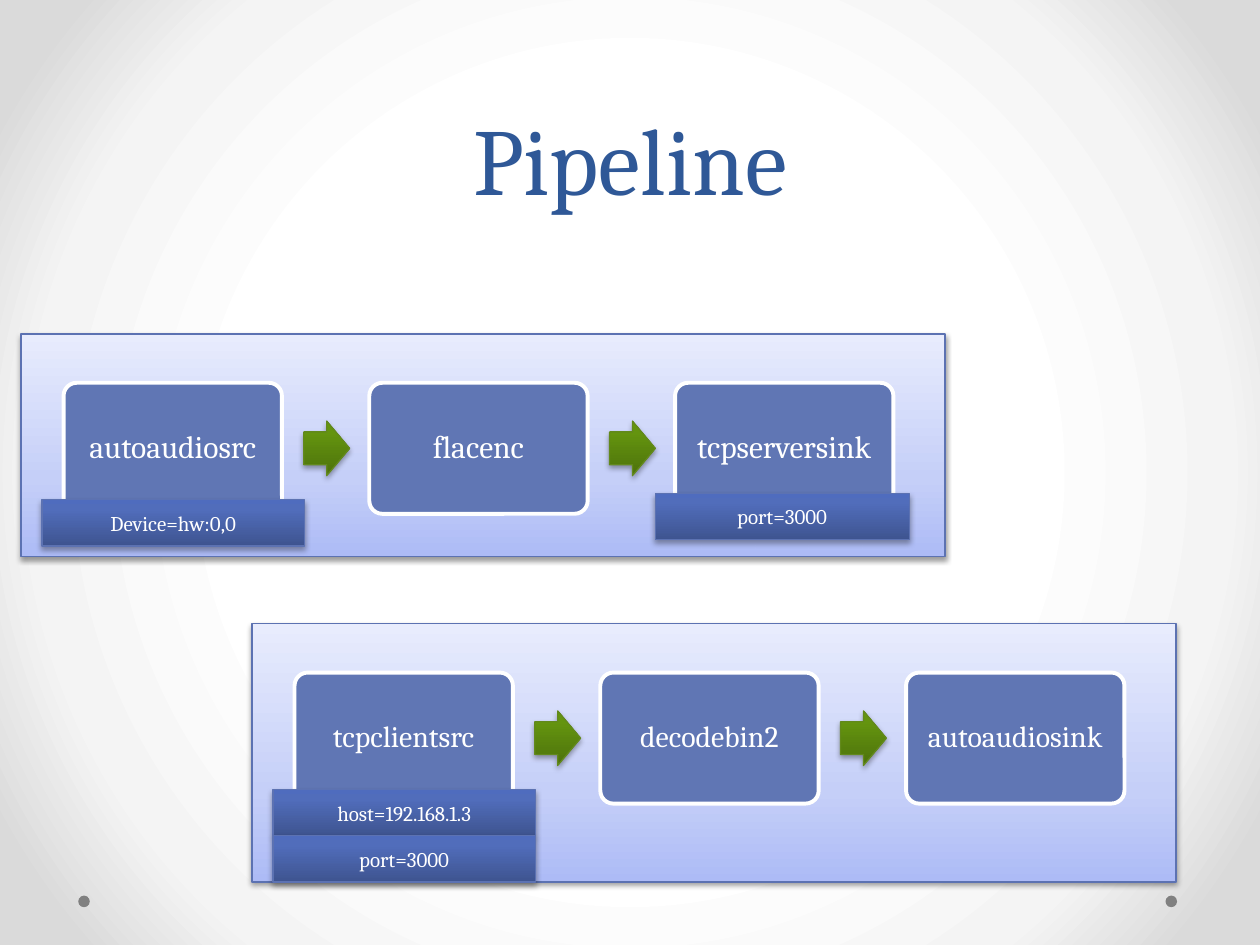
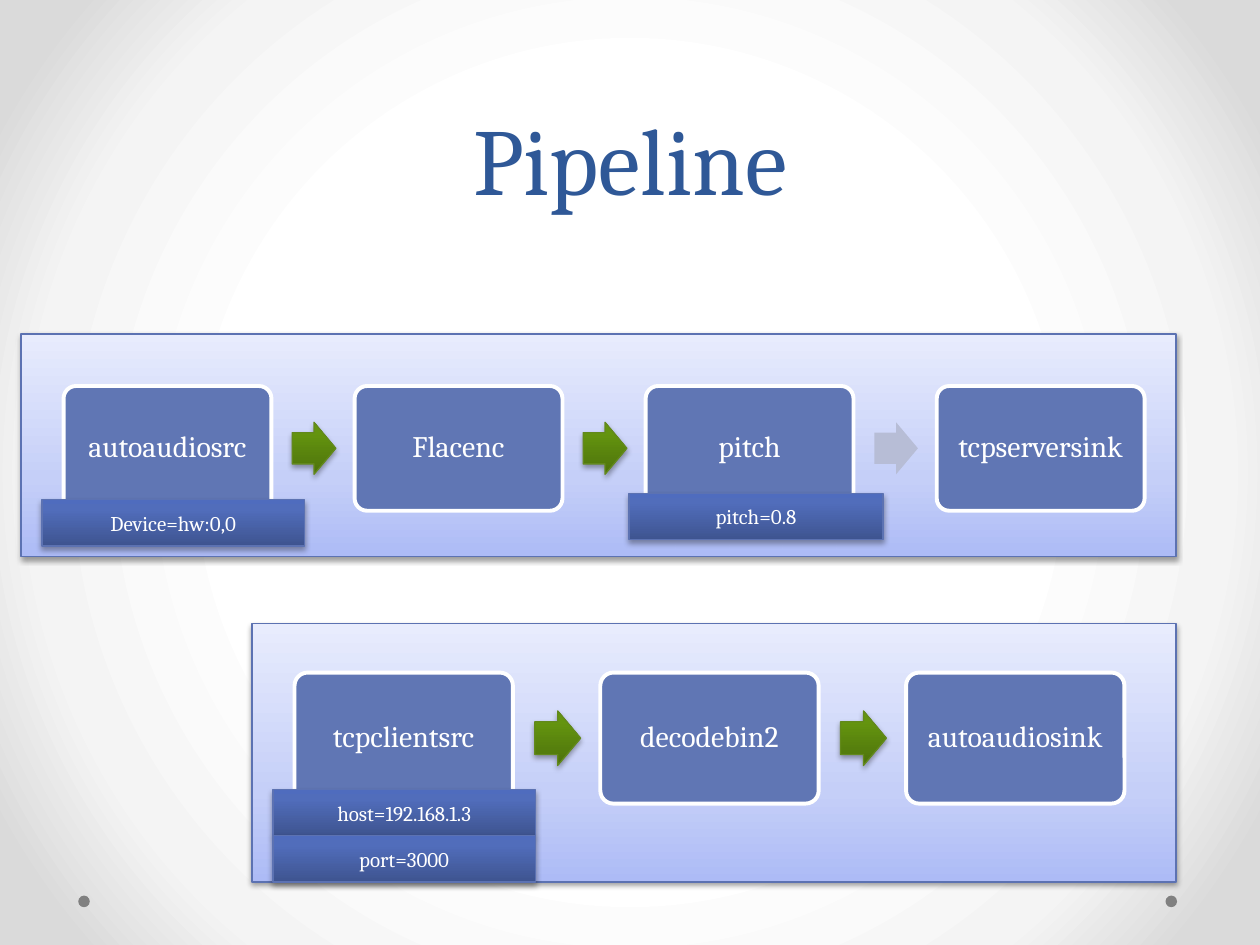
import dataclasses

import lxml.etree
import pptx
import pptx.dml.color
import pptx.enum.shapes
import pptx.enum.text
import pptx.oxml.ns
import pptx.util

# The slide is a grid of 120 columns by 90 rows
COLUMNS, ROWS = 120, 90
SLIDE_WIDTH = pptx.util.Inches(10)
SLIDE_HEIGHT = pptx.util.Inches(7.5)
SHAPE = pptx.enum.shapes.MSO_SHAPE
DRAWING = pptx.oxml.ns.nsdecls("a")


@dataclasses.dataclass(frozen=True)
class Theme:
    font: str = "Cambria"
    title: str = "2F5897"
    white: str = "FFFFFF"
    dot: str = "808080"
    stage: str = "6076B4"
    blue_line: str = "5C72B2"
    arrow_line: str = "62891C"
    idle_arrow: str = "B7BDD6"
    backdrop: tuple = ((50, "FFFFFF"), (76, "F4F4F4"), (92, "DADADA"))
    panel: tuple = ((0, "ADBBF6"), (35, "C5CFF8"), (100, "E8ECFD"))
    arrow: tuple = ((0, "4D720B"), (80, "64940F"), (100, "65970C"))
    setting: tuple = ((0, "3E5490"), (80, "516DBB"), (100, "4F6CBE"))
    title_size: int = 54
    setting_size: int = 12


@dataclasses.dataclass(frozen=True)
class Box:
    left: float
    top: float
    width: float
    height: float

    def inner(self, left, top, width, height):
        """Box placed relative to this one's corner."""
        return Box(self.left + left, self.top + top, width, height)

    def lengths(self):
        column, row = SLIDE_WIDTH / COLUMNS, SLIDE_HEIGHT / ROWS
        return [round(value) for value in (
            self.left * column, self.top * row,
            self.width * column, self.height * row)]


@dataclasses.dataclass(frozen=True)
class Setting:
    text: str
    left: float = 2
    top: float = 15.8
    width: float = 25
    height: float = 4.4


@dataclasses.dataclass(frozen=True)
class Pipeline:
    box: Box
    stages: tuple
    settings: tuple
    stage_width: float = 20.8
    stage_size: int = 17
    idle_arrow: int = -1


THEME = Theme()

SERVER = Pipeline(
    Box(2, 31.8, 88, 21.2),
    ("autoaudiosrc", "flacenc", "tcpserversink"),
    (Setting("Device=hw:0,0"), Setting("port=3000", 60.4, 15.2, 24.2)),
    stage_size=18)
PITCH_SERVER = Pipeline(
    Box(2, 31.8, 110, 21.2),
    ("autoaudiosrc", "Flacenc", "pitch", "tcpserversink"),
    (Setting("Device=hw:0,0"), Setting("pitch=0.8", 57.9, 15.2, 24.2)),
    stage_width=19.8, idle_arrow=2)
CLIENT = Pipeline(
    Box(24, 59.4, 88, 24.6),
    ("tcpclientsrc", "decodebin2", "autoaudiosink"),
    (Setting("host=192.168.1.3"), Setting("port=3000", top=20.2)))


def rgb(color):
    return pptx.dml.color.RGBColor.from_string(color)


def paint_gradient(properties, stops, direction):
    """Swap the solid fill among the properties for a gradient."""
    stop_list = "".join(
        f'<a:gs pos="{position * 1000}"><a:srgbClr val="{color}"/></a:gs>'
        for position, color in stops)
    gradient = lxml.etree.fromstring(
        f'<a:gradFill {DRAWING} rotWithShape="1">'
        f"<a:gsLst>{stop_list}</a:gsLst>{direction}</a:gradFill>")
    solid = properties.find(pptx.oxml.ns.qn("a:solidFill"))
    properties.replace(solid, gradient)


def add_shadow(shape, opacity, distance):
    effects = shape.element.spPr.find(pptx.oxml.ns.qn("a:effectLst"))
    effects.append(lxml.etree.fromstring(
        f'<a:outerShdw {DRAWING} blurRad="40000" dist="{distance}" '
        'dir="5400000" rotWithShape="0"><a:srgbClr val="000000">'
        f'<a:alpha val="{opacity * 1000}"/></a:srgbClr></a:outerShdw>'))


def add_flat_shape(shapes, kind, box, fill, line=None, line_width=0.75):
    shape = shapes.add_shape(kind, *box.lengths())
    shape.shadow.inherit = False
    shape.fill.solid()
    shape.fill.fore_color.rgb = rgb(fill)
    if line:
        shape.line.color.rgb = rgb(line)
        shape.line.width = pptx.util.Pt(line_width)
    else:
        shape.line.fill.background()
    return shape


def add_glossy_shape(shapes, kind, box, stops, line, opacity=35, distance=23000):
    shape = add_flat_shape(shapes, kind, box, stops[0][1], line)
    paint_gradient(shape.element.spPr, stops,
                   '<a:lin ang="16200000" scaled="0"/>')
    add_shadow(shape, opacity, distance)
    return shape


def write_text(shape, text, size, color=THEME.white,
               anchor=pptx.enum.text.MSO_ANCHOR.MIDDLE, line_spacing=None):
    frame = shape.text_frame
    frame.text = text
    frame.word_wrap = True
    frame.vertical_anchor = anchor
    paragraph = frame.paragraphs[0]
    paragraph.alignment = pptx.enum.text.PP_ALIGN.CENTER
    paragraph.line_spacing = line_spacing
    font = paragraph.runs[0].font
    font.name = THEME.font
    font.size = pptx.util.Pt(size)
    font.color.rgb = rgb(color)


def add_stage(shapes, box, name, size):
    stage = add_flat_shape(shapes, SHAPE.ROUNDED_RECTANGLE, box,
                           THEME.stage, THEME.white, 2.25)
    stage.adjustments[0] = 0.1
    frame = stage.text_frame
    frame.margin_left = frame.margin_right = pptx.util.Inches(0.07)
    frame.margin_top = frame.margin_bottom = pptx.util.Inches(0.07)
    write_text(stage, name, size, line_spacing=0.9)


def add_arrow(shapes, box, idle):
    if idle:
        arrow = add_flat_shape(shapes, SHAPE.RIGHT_ARROW, box, THEME.idle_arrow)
    else:
        arrow = add_glossy_shape(shapes, SHAPE.RIGHT_ARROW, box,
                                 THEME.arrow, THEME.arrow_line)
    arrow.adjustments[0] = 0.6
    arrow.adjustments[1] = 0.5


def add_pipeline(slide, pipeline):
    # Panel
    box = pipeline.box
    add_glossy_shape(slide.shapes, SHAPE.RECTANGLE, box, THEME.panel,
                     THEME.blue_line, opacity=38, distance=20000)

    # Stages joined by arrows, sized in shares of the stage width
    chain = slide.shapes.add_group_shape().shapes
    width = pipeline.stage_width
    stage_height, arrow_height = 0.6 * width, 0.25 * width
    middle = 10.9
    for index, name in enumerate(pipeline.stages):
        left = 4.05 + index * 1.4 * width
        if index:
            add_arrow(chain, box.inner(
                left - 0.3 * width, middle - arrow_height / 2,
                0.21 * width, arrow_height), index - 1 == pipeline.idle_arrow)
        add_stage(chain, box.inner(left, middle - stage_height / 2,
                                   width, stage_height),
                  name, pipeline.stage_size)

    # Settings
    for setting in pipeline.settings:
        label = add_glossy_shape(
            slide.shapes, SHAPE.RECTANGLE,
            box.inner(setting.left, setting.top, setting.width, setting.height),
            THEME.setting, THEME.blue_line)
        write_text(label, setting.text, THEME.setting_size)


def set_backdrop(master):
    master.background.fill.solid()
    properties = master.element.find(".//" + pptx.oxml.ns.qn("p:bgPr"))
    paint_gradient(properties, THEME.backdrop,
                   '<a:path path="circle"><a:fillToRect l="50000" t="50000" '
                   'r="50000" b="50000"/></a:path>')


def add_title(slide, text, box):
    title = slide.shapes.title
    title.left, title.top, title.width, title.height = box.lengths()
    write_text(title, text, THEME.title_size, THEME.title,
               pptx.enum.text.MSO_ANCHOR.BOTTOM, pptx.util.Pt(58))


def add_pipeline_slide(presentation, pipelines):
    slide = presentation.slides.add_slide(presentation.slide_layouts[5])
    # Footer dots
    for left in (111, 7.45):
        add_flat_shape(slide.shapes, SHAPE.OVAL,
                       Box(left, 85.3, 1.1, 1.1), THEME.dot)
    add_title(slide, "Pipeline", Box(6, 0, 108, 21))
    for pipeline in pipelines:
        add_pipeline(slide, pipeline)


def main():
    presentation = pptx.Presentation()
    presentation.slide_width = SLIDE_WIDTH
    presentation.slide_height = SLIDE_HEIGHT
    set_backdrop(presentation.slide_master)
    for server in (SERVER, PITCH_SERVER):
        add_pipeline_slide(presentation, (server, CLIENT))
    presentation.save("out.pptx")


if __name__ == "__main__":
    main()
